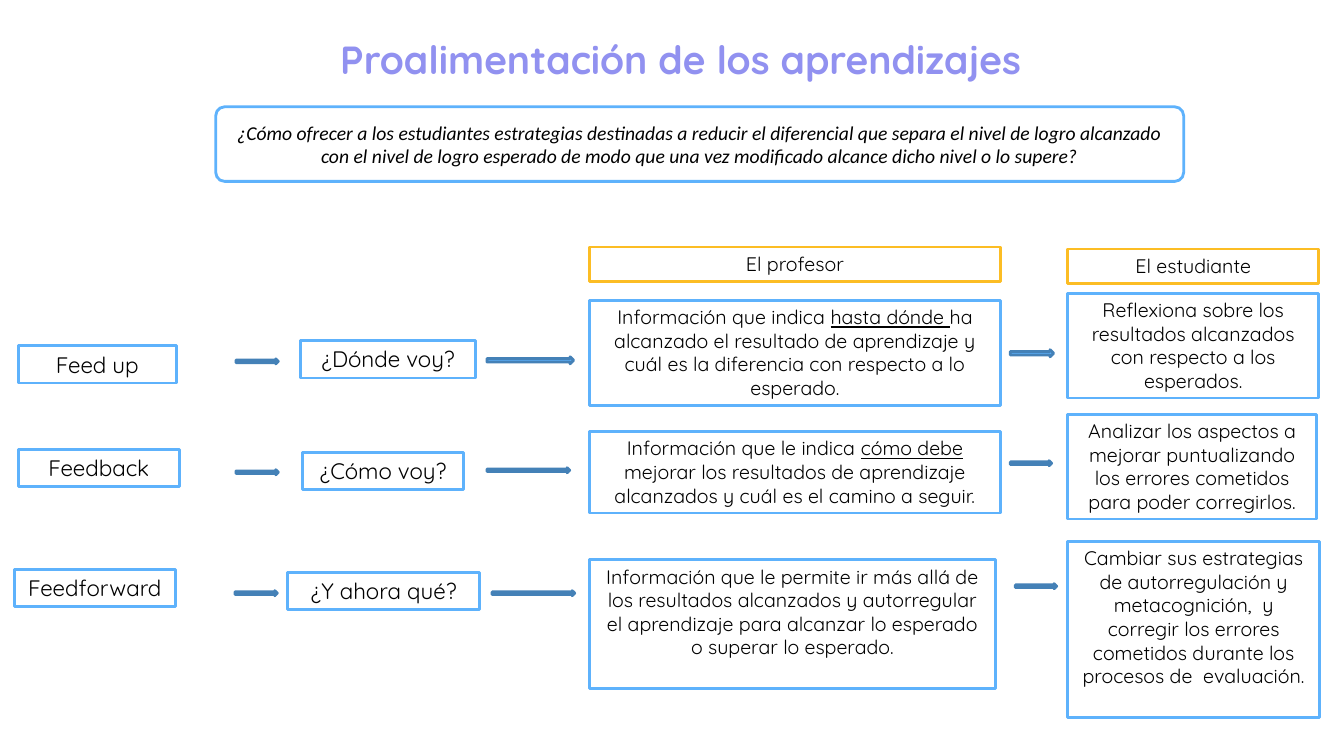
"""Build the slide on feedforward in learning."""
from dataclasses import dataclass

from pptx import Presentation
from pptx.dml.color import RGBColor as Rgb
from pptx.enum.shapes import MSO_SHAPE as Kind
from pptx.enum.text import MSO_ANCHOR as Anchor, MSO_AUTO_SIZE as Fit, PP_ALIGN as Align
from pptx.util import Emu, Pt

PX = 9144


@dataclass(frozen=True)
class Theme:
    title: str = "9191F0"
    blue: str = "5EB2FC"
    edge: str = "4481B7"
    gold: str = "FCBD24"
    paper: str = "FFFFFF"
    ink: str = "000000"
    font: str = "Quicksand"
    quote: str = "Calibri"
    big: int = 28
    mid: int = 16
    small: int = 14
    rule: int = 2


def px(n):
    return Emu(n * PX)


def write(shape, text, size, color, font, bold=False, italic=False,
          anchor=Anchor.TOP, pad=(10, 5)):
    frame = shape.text_frame
    frame.word_wrap = True
    frame.auto_size = Fit.NONE
    frame.vertical_anchor = anchor
    frame.margin_left = frame.margin_right = px(pad[0])
    frame.margin_top = frame.margin_bottom = px(pad[1])
    para = frame.paragraphs[0]
    para.alignment = Align.CENTER
    for i, part in enumerate(text.split("|")):
        run = para.add_run()
        run.text = part
        face = run.font
        face.name, face.size = font, Pt(size)
        face.bold, face.italic, face.underline = bold, italic, i % 2 == 1
        face.color.rgb = Rgb.from_string(color)


class Board:
    def __init__(self, deck, theme):
        self.theme = theme
        self.slide = deck.slides.add_slide(deck.slide_layouts[5])

    def shape(self, kind, place, fill, line):
        item = self.slide.shapes.add_shape(kind, *map(px, place))
        item.shadow.inherit = False
        item.fill.solid()
        item.fill.fore_color.rgb = Rgb.from_string(fill)
        item.line.color.rgb = Rgb.from_string(line)
        item.line.width = Pt(self.theme.rule)
        return item

    def title(self, text, place):
        head, look = self.slide.shapes.title, self.theme
        head.left, head.top, head.width, head.height = map(px, place)
        write(head, text, look.big, look.title, look.font, bold=True, pad=(13, 13))

    def quote(self, text, place):
        look = self.theme
        item = self.shape(Kind.ROUNDED_RECTANGLE, place, look.paper, look.blue)
        item.adjustments[0] = 0.12
        write(item, text, look.small, look.ink, look.quote, italic=True,
              anchor=Anchor.MIDDLE, pad=(10, 10))

    def box(self, text, place, size, line):
        look = self.theme
        item = self.shape(Kind.RECTANGLE, place, look.paper, line)
        write(item, text, size, look.ink, look.font)

    def arrow(self, place):
        self.shape(Kind.RIGHT_ARROW, place, self.theme.blue, self.theme.edge)


STEPS = [
    ("Feed up", (18, 343, 157, 37)),
    ("Feedback", (18, 446, 160, 37)),
    ("Feedforward", (14, 565, 160, 37)),
    ("¿Dónde voy?", (298, 338, 174, 37)),
    ("¿Cómo voy?", (300, 449, 160, 37)),
    ("¿Y ahora qué?", (285, 568, 191, 37)),
]
HEADS = [
    ("El profesor", (585, 245, 407, 34)),
    ("El estudiante", (1059, 247, 249, 34)),
]
NOTES = [
    ("Información que indica |hasta dónde |ha alcanzado el resultado de aprendizaje "
     "y cuál es la diferencia con respecto a lo esperado.", (585, 298, 407, 104)),
    ("Información que le indica |cómo debe |mejorar los resultados de aprendizaje "
     "alcanzados y cuál es el camino a seguir.", (585, 428, 407, 81)),
    ("Información que le permite ir más allá de los resultados alcanzados y autorregular "
     "el aprendizaje para alcanzar lo esperado o superar lo esperado.",
     (585, 555, 402, 128)),
    ("Reflexiona sobre los resultados alcanzados con respecto a los esperados.",
     (1059, 291, 249, 104)),
    ("Analizar los aspectos a mejorar puntualizando los errores cometidos "
     "para poder corregirlos.", (1059, 411, 247, 104)),
    ("Cambiar sus estrategias de autorregulación y metacognición,  y corregir los errores "
     "cometidos durante los procesos de  evaluación.", (1059, 537, 250, 175)),
]
ARROWS = [
    (234, 356, 42, 5), (234, 466, 42, 5), (233, 586, 42, 5),
    (483, 354, 86, 7), (483, 464, 82, 5), (488, 586, 82, 5),
    (1002, 347, 43, 7), (1002, 457, 41, 5), (1007, 579, 41, 5),
]


def main():
    deck = Presentation()
    deck.slide_width, deck.slide_height = px(1333), px(750)
    look = Theme()
    board = Board(deck, look)
    board.title("Proalimentación de los aprendizajes", (54, 22, 1242, 84))
    board.quote("¿Cómo ofrecer a los estudiantes estrategias destinadas a reducir el "
                "diferencial que separa el nivel de logro alcanzado con el nivel de logro "
                "esperado de modo que una vez modificado alcance dicho nivel o lo supere?",
                (214, 106, 960, 74))
    for group, size, line in (
        (STEPS, look.mid, look.blue),
        (NOTES, look.small, look.blue),
        (HEADS, look.small, look.gold),
    ):
        for text, place in group:
            board.box(text, place, size, line)
    for place in ARROWS:
        board.arrow(place)
    deck.save("out.pptx")


if __name__ == "__main__":
    main()
